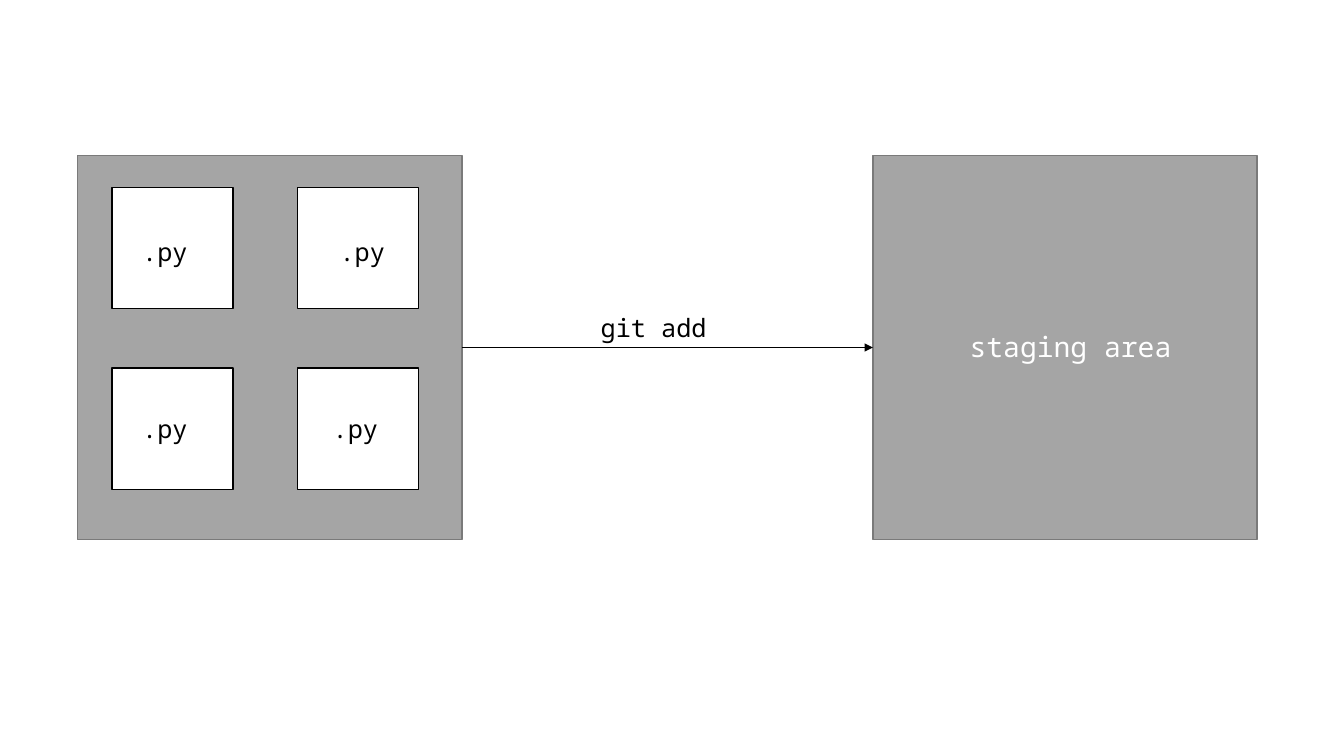
from pptx import Presentation
from pptx.dml.color import RGBColor
from pptx.enum import shapes, text
from pptx.oxml.ns import qn
from pptx.util import Pt
from lxml import etree


def tint(code):
    """Turn a hex string into a colour."""
    return RGBColor.from_string(code)


class Board:
    """Holds the style and the slide being drawn."""
    font = "Noto Sans Mono"
    black, white, gray, edge = "000000", "FFFFFF", "A5A5A5", "7A7A7A"

    def __init__(self, slide):
        self.items = slide.shapes

    def square(self, left, top, side, fill, line):
        box = self.items.add_shape(
            shapes.MSO_SHAPE.RECTANGLE, Pt(left), Pt(top), Pt(side), Pt(side))
        box.shadow.inherit = False
        box.fill.solid()
        box.fill.fore_color.rgb = tint(fill)
        box.line.color.rgb = tint(line)
        box.line.width = Pt(1)
        return box

    def label(self, words, left, top, width=109.4, height=29, size=18, color=black):
        box = self.items.add_textbox(Pt(left), Pt(top), Pt(width), Pt(height))
        frame = box.text_frame
        frame.word_wrap = True
        frame.auto_size = text.MSO_AUTO_SIZE.SHAPE_TO_FIT_TEXT
        para = frame.paragraphs[0]
        para.text = words
        para.font.name = self.font
        para.font.size = Pt(size)
        para.font.color.rgb = tint(color)

    def arrow(self, start, end):
        """Join the right side of one box to the left side of another."""
        link = self.items.add_connector(shapes.MSO_CONNECTOR.STRAIGHT, 0, 0, 0, 0)
        link.begin_connect(start, 3)
        link.end_connect(end, 1)
        link.line.color.rgb = tint(self.black)
        link.line.width = Pt(0.5)
        etree.SubElement(link.line._get_or_add_ln(), qn("a:tailEnd"), type="triangle")
        etree.SubElement(link._element.spPr, qn("a:effectLst"))


def main():
    deck = Presentation()
    deck.slide_width, deck.slide_height = Pt(960), Pt(540)
    board = Board(deck.slides.add_slide(deck.slide_layouts[6]))

    top, side = 111, 274.5
    stage = board.square(623.5, top, side, board.gray, board.edge)
    work = board.square(55.5, top, side, board.gray, board.edge)
    board.arrow(work, stage)
    board.label("git add", 422, 219.5)
    board.label("staging area", 685.5, 231.5, 185, 31.5, 20, board.white)

    for row in (134, 263):
        for col in (80, 212.5):
            board.square(col, row, 86.5, board.white, board.black)
    for left, row in ((235.5, 165), (94.5, 165), (94.5, 291.5), (230.5, 291.5)):
        board.label(".py", left, row)

    deck.save("out.pptx")


if __name__ == "__main__":
    main()
